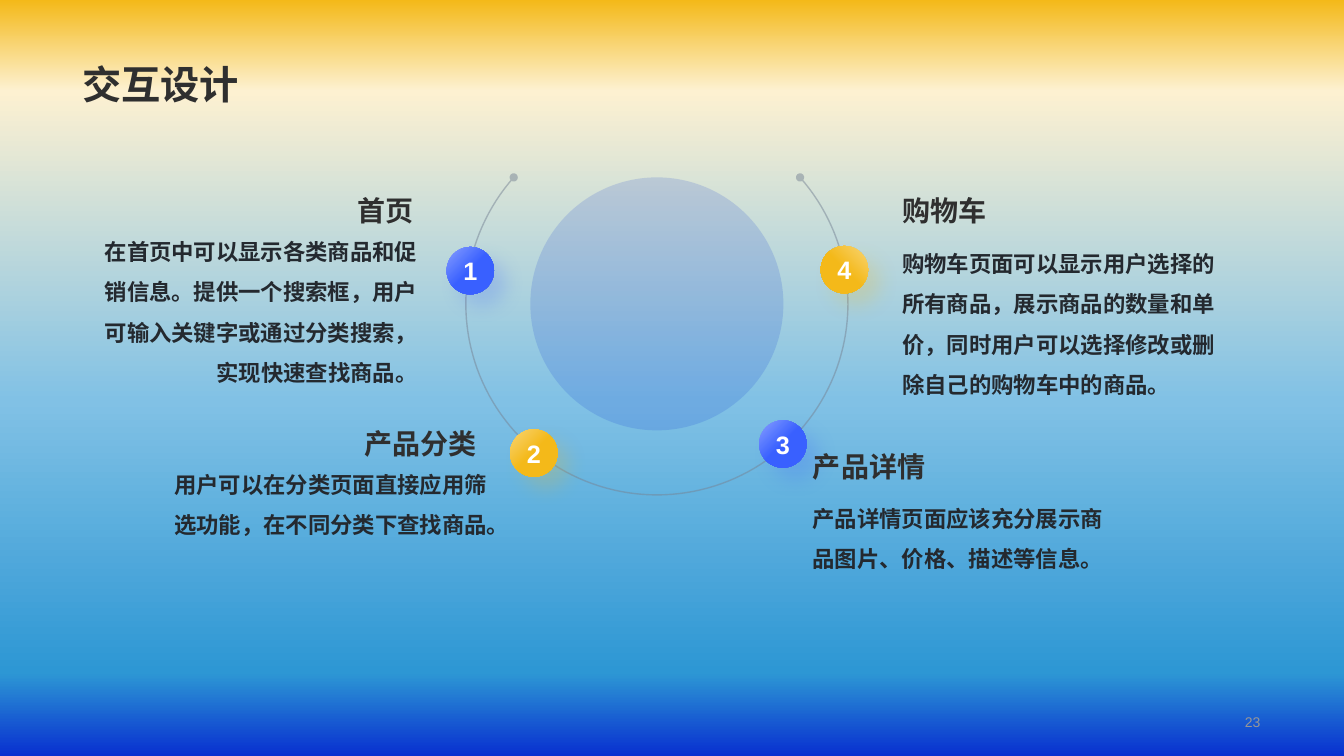
import math

from lxml import etree
from pptx import Presentation
from pptx import util as u
from pptx.dml.color import RGBColor
from pptx.enum import shapes, text
from pptx.oxml import parse_xml
from pptx.oxml.ns import nsdecls, qn

HEADING_FONT = "Arial"
BODY_FONT = "Noto Sans CJK SC"
INK = "2F2F2F"
BLUE = ("88A0FF", "3960FF")
YELLOW = ("F8D575", "F4B919")
LEFT, CENTER, RIGHT = text.PP_ALIGN.LEFT, text.PP_ALIGN.CENTER, text.PP_ALIGN.RIGHT
TOP, MIDDLE, BOTTOM = (text.MSO_ANCHOR.TOP, text.MSO_ANCHOR.MIDDLE,
                       text.MSO_ANCHOR.BOTTOM)
GROW = text.MSO_AUTO_SIZE.SHAPE_TO_FIT_TEXT
BADGE_SIZE = 0.47


def color(value):
    return RGBColor.from_string(value)


def inches(box):
    return [u.Inches(length) for length in box]


def apply(target, values):
    for name, value in values.items():
        setattr(target, name, value)


def set_gradient(fill, stops, angle):
    fill.gradient()
    gradient = fill._fill._gradFill
    stop_list = gradient.find(qn("a:gsLst"))
    for stop in list(stop_list):
        stop_list.remove(stop)
    for position, value in stops:
        stop = etree.SubElement(stop_list, qn("a:gs"), pos=str(position * 1000))
        etree.SubElement(stop, qn("a:srgbClr"), val=value)
    gradient.find(qn("a:lin")).set("ang", str(angle * 60000))


def set_opacity(fill, percent):
    for value in fill._xPr.iter(qn("a:srgbClr")):
        etree.SubElement(value, qn("a:alpha"), val=str(percent * 1000))


def add_glow(shape, value):
    shape._element.spPr.append(parse_xml(
        f'<a:effectLst {nsdecls("a")}>'
        f'<a:outerShdw blurRad="{u.Pt(14)}" dist="{u.Pt(12)}" dir="2700000" '
        'algn="tl" rotWithShape="0">'
        f'<a:srgbClr val="{value}"><a:alpha val="20000"/></a:srgbClr>'
        '</a:outerShdw></a:effectLst>'))


def write(frame, words, size, value, font=HEADING_FONT, bold=True,
          align=LEFT, spacing=1.0):
    para = frame.paragraphs[0]
    apply(para, {"alignment": align, "line_spacing": spacing})
    span = para.add_run()
    span.text = words
    apply(span.font, {"size": u.Pt(size), "name": font, "bold": bold})
    span.font.color.rgb = color(value)
    etree.SubElement(span.font._element, qn("a:ea"), typeface=font)


def add_text(page, box, words, size, value, anchor=TOP,
             fit=text.MSO_AUTO_SIZE.NONE, **style):
    frame = page.shapes.add_textbox(*inches(box)).text_frame
    apply(frame, {"word_wrap": True, "vertical_anchor": anchor, "auto_size": fit})
    write(frame, words, size, value, **style)


def add_section(page, box, heading, body, heading_left, body_offset, align, body_align):
    left, top, width, height = box
    add_text(page, (heading_left, top, 2.78, 0.44), heading, 20, INK,
             anchor=BOTTOM, fit=GROW, align=align)
    add_text(page, (left, top + body_offset, width, height - body_offset), body, 16,
             "24292F", fit=GROW, font=BODY_FONT, align=body_align, spacing=1.5)


def add_badge(page, left, top, number, colors, angle):
    badge = page.shapes.add_shape(
        shapes.MSO_SHAPE.OVAL, *inches((left, top, BADGE_SIZE, BADGE_SIZE)))
    light, strong = colors
    set_gradient(badge.fill, [(0, light), (50, strong)], angle)
    badge.line.fill.background()
    add_glow(badge, strong)
    frame = badge.text_frame
    apply(frame, {"word_wrap": False, "vertical_anchor": MIDDLE})
    apply(frame, dict.fromkeys(
        ("margin_left", "margin_right", "margin_top", "margin_bottom"), u.Inches(0.12)))
    write(frame, number, 18, "FFFFFF", align=CENTER)


def add_dial(page, box):
    left, top, width, height = box
    disc_size = 2.51
    center_x = left + width / 2
    radius = width / 2
    center_y = top + height - radius

    disc = page.shapes.add_shape(
        shapes.MSO_SHAPE.OVAL,
        *inches((center_x - disc_size / 2, top, disc_size, disc_size)))
    disc.shadow.inherit = False
    disc.fill.solid()
    disc.fill.fore_color.rgb = color("0830D0")
    set_opacity(disc.fill, 15)
    disc.line.fill.background()

    start = -math.asin((center_y - top) / radius)
    sweep = math.pi - 2 * start
    steps = 120
    angles = [start + sweep * step / steps for step in range(steps + 1)]
    points = [(u.Inches(center_x + radius * math.cos(angle)),
               u.Inches(center_y + radius * math.sin(angle))) for angle in angles]
    builder = page.shapes.build_freeform(*points[0])
    builder.add_line_segments(points[1:], close=False)
    ring = builder.convert_to_shape()
    ring.shadow.inherit = False
    ring.fill.background()
    ring.line.width = u.Pt(1)
    ring.line.color.rgb = color("778495")
    set_opacity(ring.line.fill, 50)
    for end in ("a:headEnd", "a:tailEnd"):
        etree.SubElement(ring.line._ln, qn(end), type="oval")


def build_page(page):
    set_gradient(page.background.fill, [
        (0, "F4B919"), (12, "FDF1D1"), (53, "81C1E5"),
        (89, "2D97D4"), (100, "0830D0")], 90)
    add_text(page, (0.72, 0, 11.88, 1.12), "交互设计", 28, INK,
             anchor=BOTTOM, spacing=0.9)
    add_text(page, (9.69, 7.04, 2.91, 0.24), "23", 10, "979797",
             anchor=MIDDLE, bold=False, align=RIGHT)
    add_dial(page, (4.62, 1.76, 3.79, 3.15))
    for left, top, number, colors, angle in (
            (5.06, 4.26, "2", YELLOW, 45), (7.53, 4.17, "3", BLUE, 45),
            (4.43, 2.45, "1", BLUE, 45), (8.14, 2.44, "4", YELLOW, 135)):
        add_badge(page, left, top, number, colors, angle)
    add_section(page, (0.93, 1.86, 3.31, 1.97), "首页",
                "在首页中可以显示各类商品和促销信息。提供一个搜索框，用户可输入关键字或通过分类搜索，实现快速查找商品。",
                1.42, 0.32, RIGHT, RIGHT)
    add_section(page, (8.85, 1.86, 3.31, 2.5), "购物车",
                "购物车页面可以显示用户选择的所有商品，展示商品的数量和单价，同时用户可以选择修改或删除自己的购物车中的商品。",
                8.85, 0.44, LEFT, LEFT)
    add_section(page, (1.62, 4.17, 3.31, 1.57), "产品分类",
                "用户可以在分类页面直接应用筛选功能，在不同分类下查找商品。",
                2.05, 0.32, RIGHT, RIGHT)
    add_section(page, (7.88, 4.4, 3.24, 1.28), "产品详情",
                "产品详情页面应该充分展示商品图片、价格、描述等信息。",
                7.23, 0.43, CENTER, CENTER)


def main():
    deck = Presentation()
    apply(deck, {"slide_width": u.Inches(13.33), "slide_height": u.Inches(7.5)})
    build_page(deck.slides.add_slide(deck.slide_layouts[6]))
    deck.save("out.pptx")


if __name__ == "__main__":
    main()
